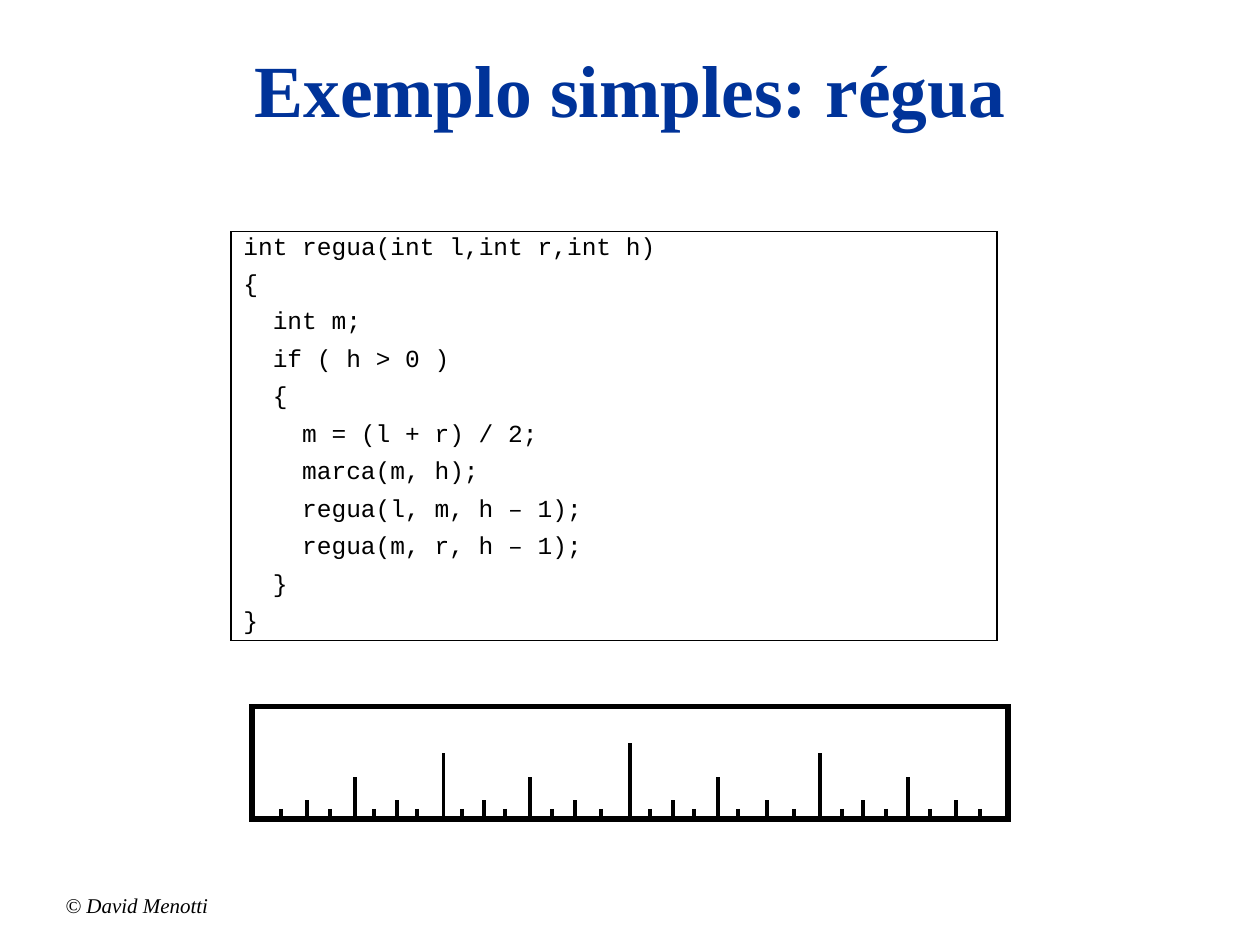
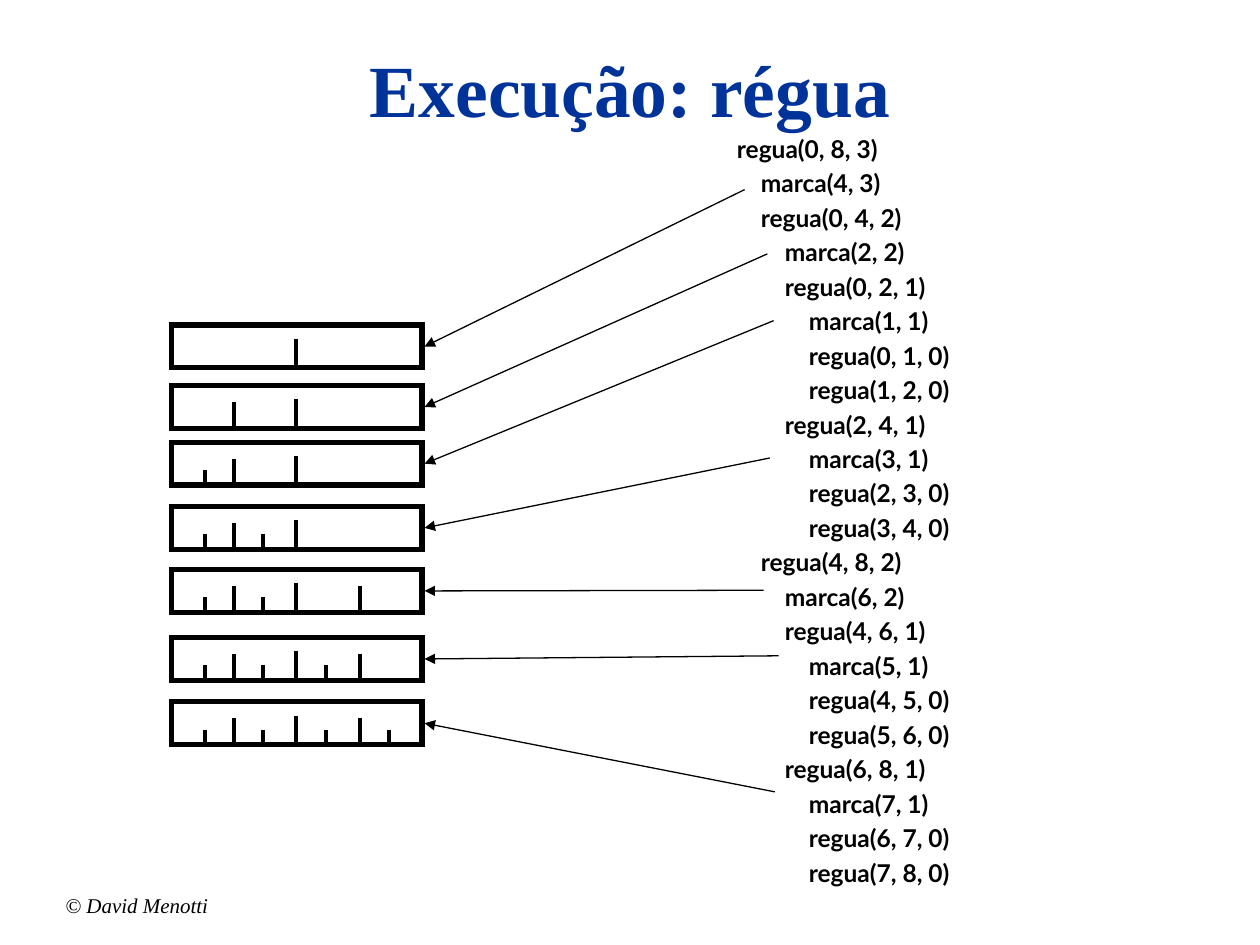
from dataclasses import dataclass

from lxml.etree import SubElement
from pptx import Presentation
from pptx.dml.color import RGBColor
from pptx.enum.shapes import MSO_CONNECTOR as Conn, MSO_SHAPE as Shape
from pptx.enum.text import MSO_ANCHOR as Anchor, MSO_AUTO_SIZE as Auto, PP_ALIGN as Align
from pptx.oxml.ns import qn
from pptx.util import Inches, Pt

COLS, ROWS = 100, 75
WIDTH, HEIGHT = Inches(10), Inches(7.5)


@dataclass(frozen=True)
class Theme:
    ink = RGBColor(0x00, 0x00, 0x00)
    blue = RGBColor(0x00, 0x33, 0x99)
    title = dict(name="Times New Roman", size=Pt(42), bold=True)
    footer = dict(name="Times New Roman", size=Pt(12), italic=True)
    code = dict(name="Courier New", size=Pt(14))
    trace = dict(name="Lato", size=Pt(14), bold=True)
    thin, tick, frame = Pt(0.75), Pt(2.25), Pt(3)
    code_indent, trace_indent = Pt(16.8), Pt(13.7)
    gap = Pt(8.8)


@dataclass(frozen=True)
class Box:
    x: float
    y: float
    w: float
    h: float

    def emu(self):
        return col(self.x), row(self.y), col(self.w), row(self.h)


T = Theme()
TITLE = Box(5, 3, 90, 9.5)
FOOTER = Box(4.2, 70.8, 28.3, 2.5)
CODE = Box(18.33, 18.35, 60.8, 32.5)
RULER = Box(20, 56.1, 60, 8.9)
TRACE = Box(57.5, 10.85, 36.7, 59.9)

CODE_LINES = [
    (0, "int regua(int l,int r,int h)"), (0, "{"),
    (1, "int m;"), (1, "if ( h > 0 )"), (1, "{"),
    (2, "m = (l + r) / 2;"), (2, "marca(m, h);"),
    (2, "regua(l, m, h – 1);"), (2, "regua(m, r, h – 1);"),
    (1, "}"), (0, "}"),
]
LARGE_TICKS = [
    2.3, 4.4, 6.2, 8.2, 9.7, 11.5, 13.1, 15.2, 16.7, 18.4, 20.1,
    22.1, 23.8, 25.6, 27.7, 30, 31.6, 33.4, 35.1, 37, 38.6, 40.9,
    43, 45.1, 46.8, 48.5, 50.3, 52.1, 53.8, 55.9, 57.8,
]
LARGE_HEIGHTS = [0.8, 1.5, 3.3, 5.2, 6]
SMALL_TICKS = [2.7, 5, 7.3, 9.9, 12.3, 15, 17.3]
SMALL_HEIGHTS = [1.2, 2.1, 2.3]
SMALL_TOPS = [25.8, 30.6, 35.1, 40.2, 45.2, 50.6, 55.7]
ARROW_STARTS = [(1.6, 4.2), (3.4, 9.3), (3.9, 14.6), (3.6, 25.5),
                (3.1, 36), (4.3, 41.2), (4, 52)]


def col(n):
    return round(WIDTH * n / COLS)


def row(n):
    return round(HEIGHT * n / ROWS)


def assign(obj, **values):
    for key, value in values.items():
        setattr(obj, key, value)


def write(tf, lines, font, color=T.ink, indent=0, frame=None, para=None):
    assign(tf, **{"word_wrap": True, "vertical_anchor": Anchor.TOP, **(frame or {})})
    for i, (depth, text) in enumerate(lines):
        p = tf.add_paragraph() if i else tf.paragraphs[0]
        assign(p, **{"alignment": Align.LEFT, **(para or {})})
        if depth:
            p._p.get_or_add_pPr().set("marL", str(depth * indent))
        r = p.add_run()
        r.text = text
        assign(r.font, **font)
        r.font.color.rgb = color


def add_frame(s, box, width):
    sp = s.shapes.add_shape(Shape.RECTANGLE, *box.emu())
    sp.shadow.inherit = False
    sp.fill.background()
    sp.line.color.rgb = T.ink
    sp.line.width = width
    SubElement(sp.line._get_or_add_ln(), qn("a:miter"), lim="800000")
    return sp


def add_line(s, x1, y1, x2, y2, width, arrow=False):
    cx = s.shapes.add_connector(Conn.STRAIGHT, col(x1), row(y1), col(x2), row(y2))
    cx.line.color.rgb = T.ink
    cx.line.width = width
    if arrow:
        SubElement(cx.line._get_or_add_ln(), qn("a:tailEnd"), type="triangle")
    SubElement(cx._element.spPr, qn("a:effectLst"))


def add_ruler(s, box, ticks):
    add_frame(s, box, T.frame)
    bottom = box.y + box.h
    for x, height in ticks:
        add_line(s, box.x + x, bottom - height, box.x + x, bottom, T.tick)


def add_base(prs, title):
    s = prs.slides.add_slide(prs.slide_layouts[6])
    footer = s.shapes.add_textbox(*FOOTER.emu()).text_frame
    write(footer, [(0, "© David Menotti")], T.footer,
          frame=dict(vertical_anchor=Anchor.BOTTOM))
    heading = s.shapes.add_textbox(*TITLE.emu()).text_frame
    write(heading, [(0, title)], T.title, T.blue, para=dict(alignment=Align.CENTER))
    return s


def add_listing(tf, lines, font, indent, spacing):
    write(tf, lines, font, indent=indent, frame=dict(auto_size=Auto.SHAPE_TO_FIT_TEXT),
          para=dict(line_spacing=spacing, space_before=T.gap))


def run_regua(l, r, h, depth=0):
    yield depth, "regua", (l, r, h)
    if h > 0:
        m = (l + r) // 2
        yield depth + 1, "marca", (m, h)
        yield from run_regua(l, m, h - 1, depth + 1)
        yield from run_regua(m, r, h - 1, depth + 1)


def level(n):
    return 0 if n % 2 else 1 + level(n // 2)


def code_slide(prs):
    s = add_base(prs, "Exemplo simples: régua")
    add_listing(add_frame(s, CODE, T.thin).text_frame, CODE_LINES, T.code,
                T.code_indent, 0.75)
    add_ruler(s, RULER, [(x, LARGE_HEIGHTS[level(n)])
                         for n, x in enumerate(LARGE_TICKS, 1)])


def trace_slide(prs):
    s = add_base(prs, "Execução: régua")
    calls = list(run_regua(0, 8, 3))
    marks = [(SMALL_TICKS[args[0] - 1], SMALL_HEIGHTS[args[1] - 1])
             for _, name, args in calls if name == "marca"]
    add_listing(s.shapes.add_textbox(*TRACE.emu()).text_frame,
                [(depth, f"{name}{args}") for depth, name, args in calls],
                T.trace, T.trace_indent, 0.65)
    for n, (top, (x, y)) in enumerate(zip(SMALL_TOPS, ARROW_STARTS), 1):
        box = Box(13.6, top, 19.9, 3.4)
        add_ruler(s, box, marks[:n])
        add_line(s, TRACE.x + x, TRACE.y + y, box.x + box.w + 0.2,
                 box.y + box.h / 2, T.thin, arrow=True)


def main():
    prs = Presentation()
    assign(prs, slide_width=WIDTH, slide_height=HEIGHT)
    code_slide(prs)
    trace_slide(prs)
    prs.save("out.pptx")


if __name__ == "__main__":
    main()
